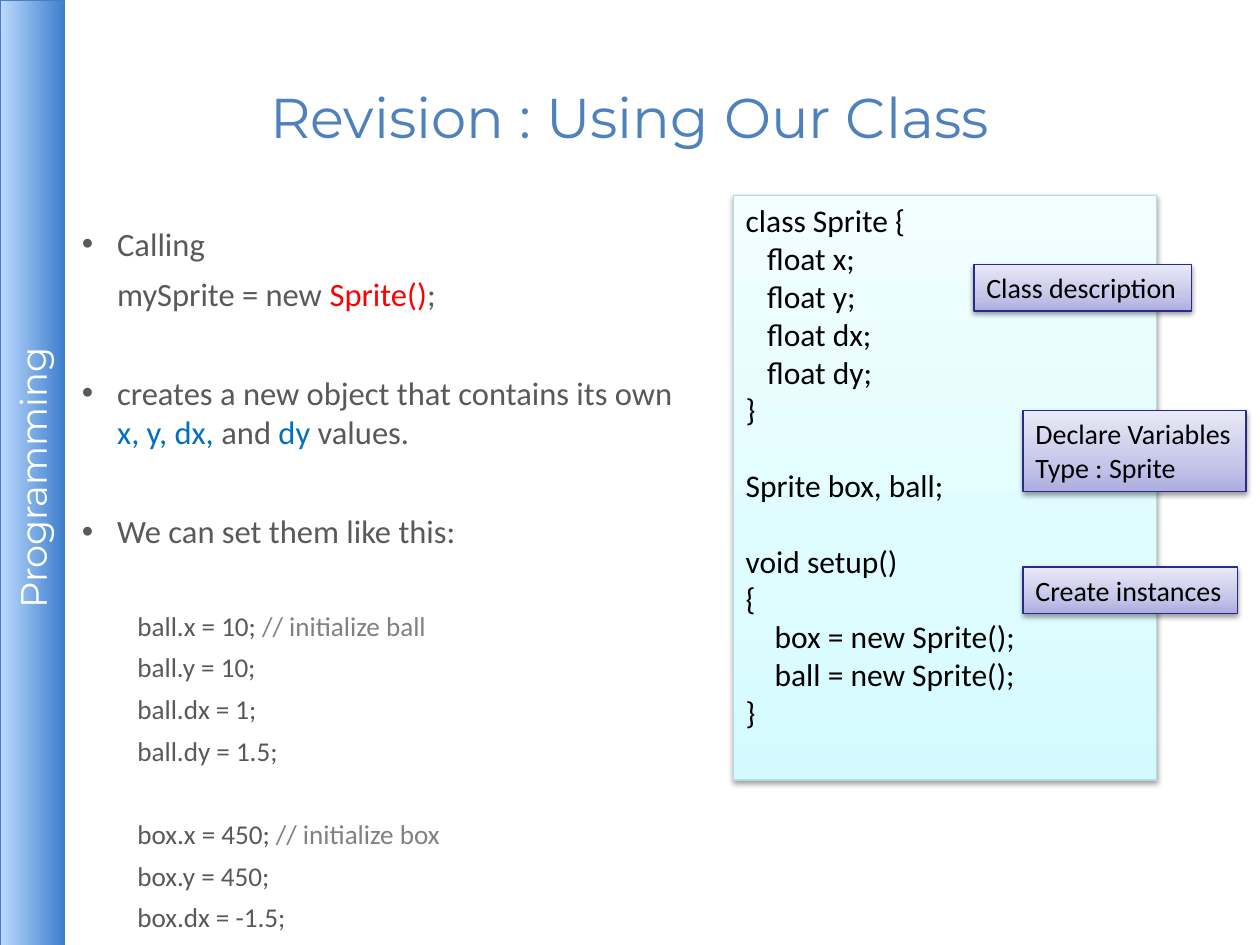
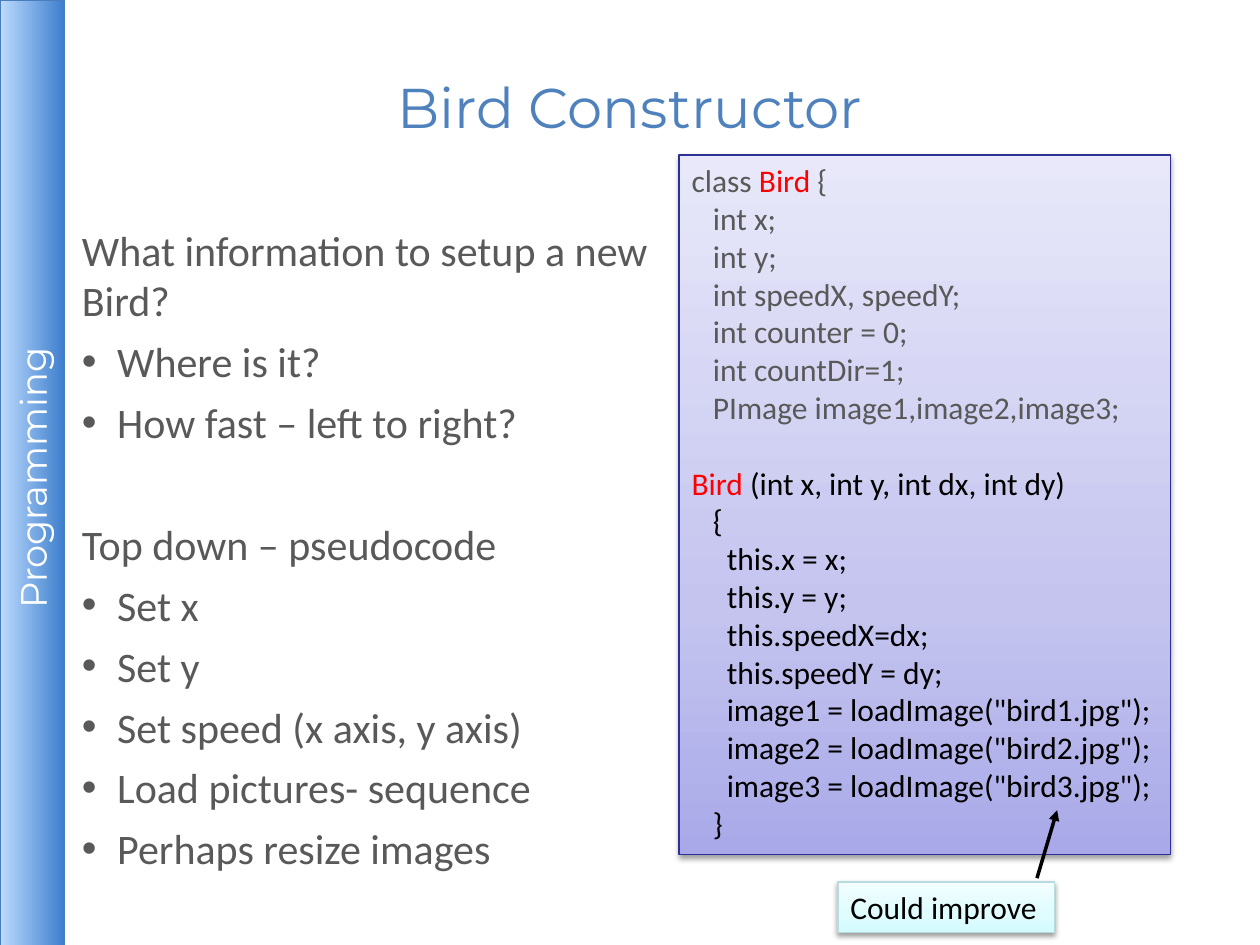
"""Build two programming slides: using a class, and a constructor."""
from dataclasses import dataclass

from lxml import etree
from pptx import Presentation
from pptx import util as u
from pptx.dml.color import RGBColor
from pptx.enum import shapes, text
from pptx.oxml.ns import qn

COLOURS = {
    "title": "4F81BD", "body": "595959", "code": "000000", "comment": "808080",
    "class": "FF0000", "variable": "0070C0", "white": "FFFFFF",
}
BAND = {"stops": [(0, "BDDBFE"), (100, "3E7FCD")], "line": "4A7DBB",
        "angle": 270, "shadow": (35, 0, 1.8)}
CYAN = {"stops": [(0, "D3FBFF"), (35, "DFFCFF"), (100, "F2FEFF")], "line": "B6DCDF",
        "angle": 90, "shadow": (38, 3.1, 1.6)}
LILAC = {**CYAN, "stops": [(0, "ADADE1"), (35, "C6C6E9"), (100, "E9E9F7")], "line": "2A2A89"}
VIOLET = {**CYAN, "stops": [(0, "A9A9E9"), (35, "C4C4EF"), (100, "E8E8FA")], "line": "2F2F98"}
HEADING_FONT, BODY_FONT = "Montserrat", "Calibri"
HANG = 0.28
CODE_SIZE = 18
CODE_GAP = 21.6
SPACE_WIDTH = 0.0567


@dataclass
class Line:
    """One paragraph: (words, colour name) runs with its layout."""
    runs: list
    size: float = CODE_SIZE
    left: float = 0
    before: float = 0
    bullet: bool = False
    font: str = BODY_FONT
    centred: bool = False


def colour(name):
    """Return the named colour."""
    return RGBColor.from_string(COLOURS[name])


def write(box, lines, insets, anchor=text.MSO_ANCHOR.TOP):
    """Write the lines into a shape, run by run."""
    frame = box.text_frame
    frame.word_wrap = True
    frame.vertical_anchor = anchor
    frame.margin_left, frame.margin_top, frame.margin_right, frame.margin_bottom = map(u.Inches, insets)
    for number, line in enumerate(lines):
        para = frame.add_paragraph() if number else frame.paragraphs[0]
        para.alignment = text.PP_ALIGN.CENTER if line.centred else text.PP_ALIGN.LEFT
        para.space_before = u.Pt(line.before)
        layout = para._p.get_or_add_pPr()
        layout.set("marL", str(u.Inches(line.left)))
        layout.set("indent", str(-u.Inches(line.left) if line.bullet else 0))
        if line.bullet:
            etree.SubElement(layout, qn("a:buFont"), typeface="Arial")
            etree.SubElement(layout, qn("a:buChar"), char="•")
        for words, name in line.runs:
            span = para.add_run()
            span.text = words
            span.font.name = line.font
            span.font.size = u.Pt(line.size)
            span.font.color.rgb = colour(name)


def add_panel(page, box, style):
    """Add a rectangle with a gradient, an outline and a soft shadow."""
    panel = page.shapes.add_shape(shapes.MSO_SHAPE.RECTANGLE, *map(u.Inches, box))
    panel.fill.gradient()
    panel.fill.gradient_angle = style["angle"]
    stops = panel._element.spPr.find(qn("a:gradFill")).find(qn("a:gsLst"))
    for stop in list(stops):
        stops.remove(stop)
    for position, value in style["stops"]:
        stop = etree.SubElement(stops, qn("a:gs"), pos=str(position * 1000))
        etree.SubElement(stop, qn("a:srgbClr"), val=value)
    panel.line.color.rgb = RGBColor.from_string(style["line"])
    panel.line.width = u.Pt(0.75)
    panel.shadow.inherit = False
    alpha, blur, distance = style["shadow"]
    shadow = etree.SubElement(
        panel._element.spPr.find(qn("a:effectLst")), qn("a:outerShdw"),
        blurRad=str(u.Pt(blur)), dist=str(u.Pt(distance)), dir="5400000", rotWithShape="0")
    tint = etree.SubElement(shadow, qn("a:srgbClr"), val="000000")
    etree.SubElement(tint, qn("a:alpha"), val=str(alpha * 1000))
    return panel


def add_note(page, box, lines, style):
    """Add a panel of code or a short label."""
    write(add_panel(page, box, style), lines, (0.1, 0.05, 0.05, 0.05))


def add_text(page, box, lines, anchor=text.MSO_ANCHOR.TOP):
    """Add a plain text box."""
    write(page.shapes.add_textbox(*map(u.Inches, box)), lines, [0.04] * 4, anchor)


def add_page(deck, title, title_height):
    """Add a blank page with the side band and the title."""
    page = deck.slides.add_slide(deck.slide_layouts[6])
    band = add_panel(page, (-3.5, 3.5, 7.51, 0.51), BAND)
    band.rotation = 270
    write(band, [Line([("Programming ", "white")], 21, font=HEADING_FONT, centred=True)],
          [0.04] * 4, text.MSO_ANCHOR.MIDDLE)
    add_text(page, (0.5, 0.3, 9, title_height),
             [Line([(title, "title")], 32, font=HEADING_FONT, centred=True)],
             text.MSO_ANCHOR.MIDDLE)
    return page


def code(words, spaces=0, name="code", before=0):
    """Return a code line indented by a number of space widths."""
    return Line([(words, name)], left=round(spaces * SPACE_WIDTH, 2), before=before)


def add_arrow(page, start, end):
    """Add a black arrow between two points."""
    arrow = page.shapes.add_connector(shapes.MSO_CONNECTOR.STRAIGHT, *map(u.Inches, start + end))
    arrow.line.color.rgb = colour("code")
    arrow.line.width = u.Pt(2)
    etree.SubElement(arrow.line._get_or_add_ln(), qn("a:tailEnd"), type="triangle")
    etree.SubElement(arrow._element.spPr, qn("a:effectLst"))


def add_using_class(deck):
    """Build the page on using a class."""
    page = add_page(deck, "Revision : Using Our Class", 1.25)

    def point(runs, before=34.4, bullet=True):
        return Line(runs, 18.6, HANG, before, bullet)

    def setting(words, comment="", before=5.2):
        runs = [(words, "body")] + ([(comment, "comment")] if comment else [])
        return Line(runs, 15.5, 0.44, before)

    add_text(page, (0.61, 1.74, 4.78, 5.24), [
        point([("Calling", "body")], 6),
        point([("mySprite = new ", "body"), ("Sprite()", "class"), (";", "body")], 6, False),
        point([("creates a new object that contains its own ", "body"),
               ("x, y, dx, ", "variable"), ("and ", "body"),
               ("dy", "variable"), (" values.", "body")]),
        point([("We can set them like this:", "body")]),
        setting("ball.x = 10; ", "// initialize ball", 33.6),
        setting("ball.y = 10;"),
        setting("ball.dx = 1;"),
        setting("ball.dy = 1.5;"),
        setting("box.x = 450; ", "// initialize box", 29),
        setting("box.y = 450;"),
        setting("box.dx = -1.5;"),
    ])
    add_note(page, (5.82, 1.55, 3.36, 4.64), [
        code("class Sprite {"),
        *[code(f"float {field};", 3) for field in ("x", "y", "dx", "dy")],
        code("}"),
        code("Sprite box, ball;", before=CODE_GAP),
        code("void setup()", before=CODE_GAP),
        code("{"),
        *[code(f"{sprite} = new Sprite();", 4) for sprite in ("box", "ball")],
        code("}"),
    ], CYAN)
    labels = [
        ((7.73, 2.1, 1.73, 0.37), ["Class description"]),
        ((8.12, 3.26, 1.77, 0.64), ["Declare Variables", "Type : Sprite"]),
        ((8.12, 4.5, 1.7, 0.37), ["Create instances"]),
    ]
    for box, rows in labels:
        add_note(page, box, [Line([(row, "code")], 16) for row in rows], LILAC)


def add_constructor(deck):
    """Build the page on the bird constructor."""
    page = add_page(deck, "Bird Constructor", 1.09)

    def group(heading, points, before):
        return [Line([(heading, "body")], 24, before=before)] + [
            Line([(words, "body")], 24, HANG, 6, True) for words in points]

    add_text(page, (0.61, 1.74, 4.62, 5.24), [
        *group("What information to setup a new Bird?",
               ["Where is it?", "How fast – left to right?"], 6),
        *group("Top down – pseudocode",
               ["Set x", "Set y", "Set speed (x axis, y axis)",
                "Load pictures- sequence", "Perhaps resize images"], 40.8),
    ])
    fields = ["int x;", "int y;", "int speedX, speedY;", "int counter = 0;",
              "int countDir=1;", "PImage image1,image2,image3;"]
    steps = ["this.x = x;", "this.y = y;", "this.speedX=dx;", "this.speedY = dy;"]
    steps += [f'image{n} = loadImage("bird{n}.jpg");' for n in (1, 2, 3)]
    add_note(page, (5.39, 1.23, 3.9, 5.55), [
        Line([("class ", "body"), ("Bird", "class"), (" {", "body")]),
        *[code(field, 3, "body") for field in fields],
        Line([("Bird", "class"), (" (int x, int y, int dx, int dy)", "code")], before=CODE_GAP),
        code("{", 3),
        *[code(step, 5) for step in steps],
        code("}", 3),
    ], VIOLET)
    add_note(page, (6.65, 7, 1.72, 0.4), [code("Could improve")], CYAN)
    add_arrow(page, (8.23, 6.97), (8.39, 6.43))


def main():
    """Build and save the deck."""
    deck = Presentation()
    deck.slide_width, deck.slide_height = u.Inches(10), u.Inches(7.5)
    add_using_class(deck)
    add_constructor(deck)
    deck.save("out.pptx")


if __name__ == "__main__":
    main()
